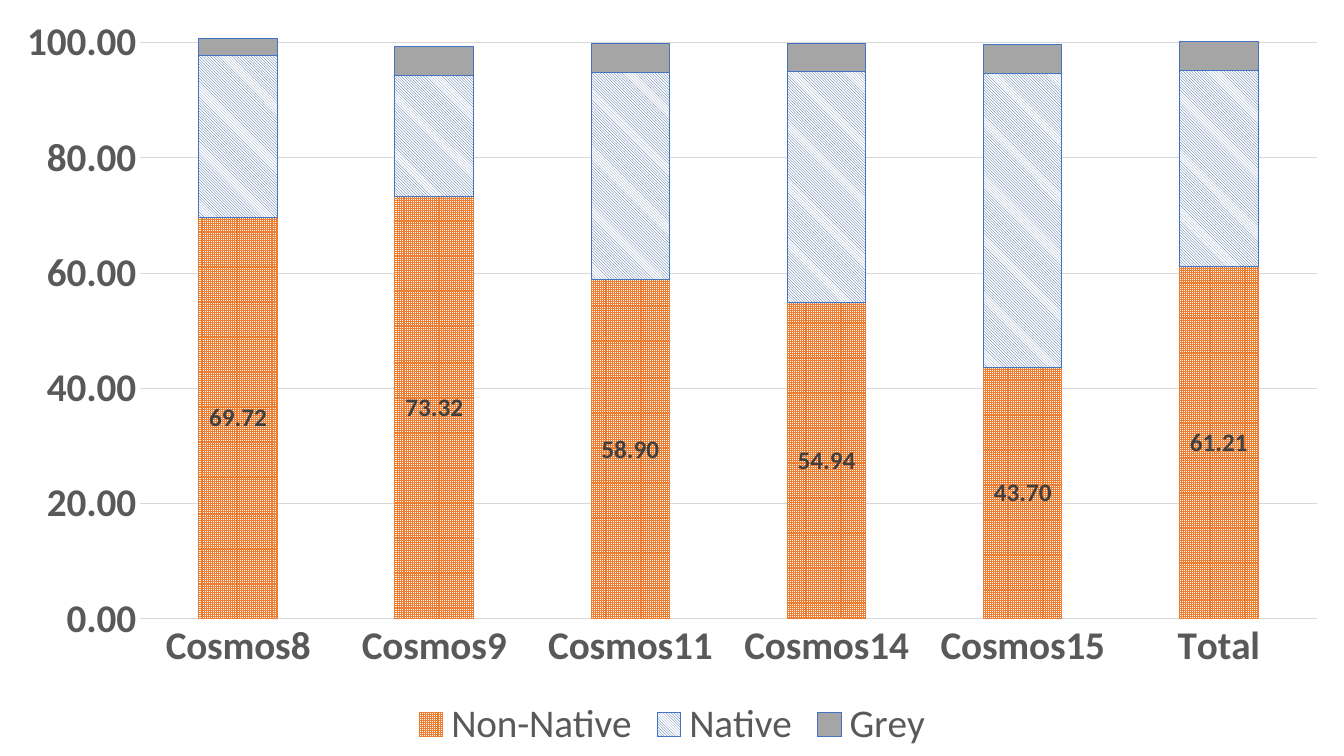
from lxml import etree
from pptx import Presentation
from pptx import util as u
from pptx.chart.data import CategoryChartData
from pptx.dml.color import RGBColor
from pptx.enum import chart as ch
from pptx.enum import dml
from pptx.oxml.ns import qn

WIDTH, HEIGHT = 1344, 756
GROUPS = ["Cosmos8", "Cosmos9", "Cosmos11", "Cosmos14", "Cosmos15", "Total"]
SERIES = [
    ("Non-Native", [69.72, 73.32, 58.9, 54.94, 43.7, 61.21],
     "ED7D31", dml.MSO_PATTERN.SMALL_GRID, "ED7D31"),
    ("Native", [28, 21, 36, 40, 51, 34],
     "2F5597", dml.MSO_PATTERN.DARK_DOWNWARD_DIAGONAL, "4472C4"),
    ("Grey", [3, 5, 5, 5, 5, 5], "A5A5A5", None, "4472C4"),
]


def px(n):
    """Turn picture pixels into EMU."""
    return u.Emu(round(n * 914400 / 100.8))


def rgb(code):
    """Make a colour from a hex string."""
    return RGBColor.from_string(code)


def style(font, size, color="595959", bold=False):
    """Format the font of a chart part."""
    font.name = "Calibri"
    font.size = u.Pt(size)
    font.bold = bold
    font.color.rgb = rgb(color)


def stroke(line, color):
    """Draw a thin line in one colour."""
    line.color.rgb = rgb(color)
    line.width = u.Pt(0.75)


def paint(bar, color, weave, edge):
    """Fill a series with a pattern or a plain colour."""
    fill = bar.format.fill
    if weave is None:
        fill.solid()
        fill.fore_color.rgb = rgb(color)
    else:
        fill.patterned()
        fill.pattern = weave
        fill.fore_color.rgb = rgb(color)
        fill.back_color.rgb = rgb("FFFFFF")
    stroke(bar.format.line, edge)
    bar.invert_if_negative = False


def label(bar):
    """Show the values in the middle of a series."""
    tags = bar.data_labels
    tags.show_value = True
    tags.number_format = "0.00"
    tags.number_format_is_linked = False
    tags.position = ch.XL_LABEL_POSITION.CENTER
    style(tags.font, 18, "404040", True)


def place(chart, left, top, width, height):
    """Fix the inner plot area at a pixel box."""
    area = chart.plots[0]._element.getparent()
    for old in area.findall(qn("c:layout")):
        area.remove(old)
    layout = etree.Element(qn("c:layout"))
    box = etree.SubElement(layout, qn("c:manualLayout"))
    parts = [("layoutTarget", "inner"), ("xMode", "edge"), ("yMode", "edge"),
             ("x", left / WIDTH), ("y", top / HEIGHT),
             ("w", width / WIDTH), ("h", height / HEIGHT)]
    for name, val in parts:
        etree.SubElement(box, qn("c:" + name)).set("val", str(val))
    area.insert(0, layout)


def axes(chart):
    """Format both axes and the grid."""
    groups, scale = chart.category_axis, chart.value_axis
    for axis in (groups, scale):
        axis.major_tick_mark = axis.minor_tick_mark = ch.XL_TICK_MARK.NONE
        style(axis.tick_labels.font, 28, bold=True)
    stroke(groups.format.line, "D9D9D9")
    scale.format.line.fill.background()
    scale.minimum_scale, scale.maximum_scale = 0, 105
    scale.major_unit = 20
    scale.tick_labels.number_format = "0.00"
    scale.tick_labels.number_format_is_linked = False
    stroke(scale.major_gridlines.format.line, "D9D9D9")


def stack(slide):
    """Add the stacked column chart."""
    data = CategoryChartData(number_format="0.00")
    data.categories = GROUPS
    for name, vals, *_ in SERIES:
        data.add_series(name, vals)
    chart = slide.shapes.add_chart(
        ch.XL_CHART_TYPE.COLUMN_STACKED, 0, 0, px(WIDTH), px(HEIGHT), data).chart
    style(chart.font, 10, "000000")
    chart.has_title = False
    plot = chart.plots[0]
    plot.gap_width, plot.overlap = 150, 100
    plot.vary_by_categories = False
    for bar, (_, _, *look) in zip(plot.series, SERIES):
        paint(bar, *look)
    label(plot.series[0])
    axes(chart)
    chart.has_legend = True
    chart.legend.position = ch.XL_LEGEND_POSITION.BOTTOM
    chart.legend.include_in_layout = False
    style(chart.legend.font, 28)
    place(chart, 140, 14, 1177, 605)


def main():
    """Build and save the slide."""
    deck = Presentation()
    deck.slide_width, deck.slide_height = px(WIDTH), px(HEIGHT)
    stack(deck.slides.add_slide(deck.slide_layouts[6]))
    deck.save("out.pptx")


main()
